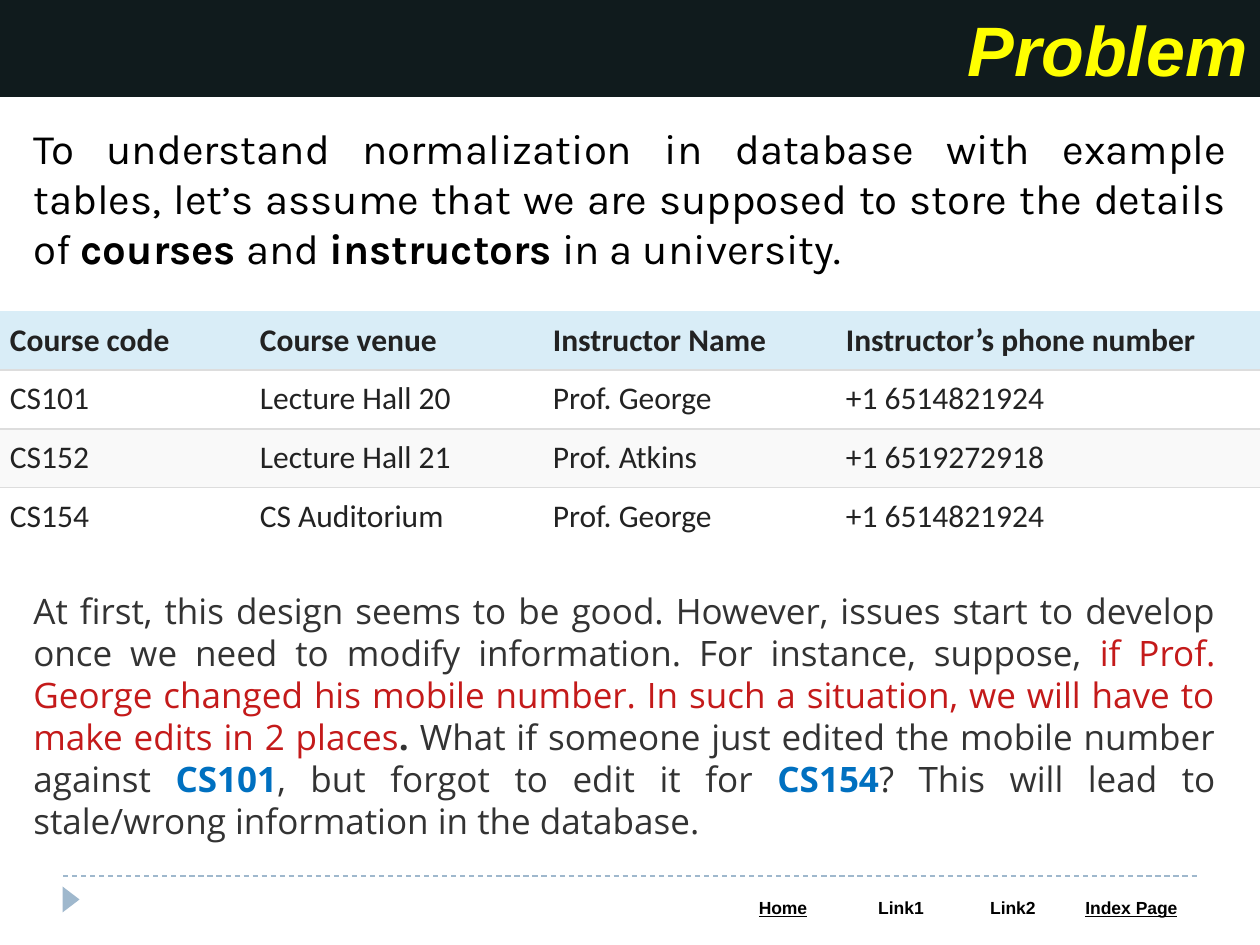
from dataclasses import dataclass, field

import pptx
import pptx.dml.color
import pptx.enum.dml
import pptx.enum.shapes
import pptx.enum.text
import pptx.oxml.ns
import pptx.util
from lxml import etree

PX_PER_INCH = 126
ALIGN = pptx.enum.text.PP_ALIGN
ANCHOR = pptx.enum.text.MSO_ANCHOR


@dataclass(frozen=True)
class Theme:
    bar: str = "101B1D"
    title: str = "FFFF00"
    black: str = "000000"
    white: str = "FFFFFF"
    body: str = "333333"
    warning: str = "C41A1A"
    code: str = "0070C0"
    cell_text: str = "222222"
    header: str = "D9EDF7"
    stripe: str = "F9F9F9"
    rule: str = "DDDDDD"
    footer: str = "9FB8CD"
    title_size: int = 40
    intro_size: int = 24
    body_size: int = 20
    table_size: int = 18
    footer_size: int = 10


THEME = Theme()


@dataclass(frozen=True)
class Box:
    left: int
    top: int
    width: int
    height: int

    def emu(self) -> tuple:
        return tuple(px(n) for n in (self.left, self.top, self.width, self.height))


@dataclass(frozen=True)
class Span:
    text: str
    format: dict = field(default_factory=dict)


def px(length: int) -> pptx.util.Emu:
    return pptx.util.Emu(round(length * pptx.util.Inches(1) / PX_PER_INCH))


def rgb(color: str) -> pptx.dml.color.RGBColor:
    return pptx.dml.color.RGBColor.from_string(color)


def style(name: str, size: int, color: str, **extra) -> dict:
    return {"name": name, "size": pptx.util.Pt(size), "color": color, **extra}


def fill(target, color: str) -> None:
    target.fill.solid()
    target.fill.fore_color.rgb = rgb(color)


def write(frame, spans: list[Span], base: dict, align=ALIGN.LEFT) -> None:
    """Fill the first paragraph with spans, each overriding the base format."""
    para = frame.paragraphs[0]
    para.alignment = align
    for span in spans:
        run = para.add_run()
        run.text = span.text
        for key, value in {**base, **span.format}.items():
            if key == "color":
                run.font.color.rgb = rgb(value)
            else:
                setattr(run.font, key, value)


def add_title(page, box: Box, text: str) -> None:
    title = page.shapes.title
    title.left, title.top, title.width, title.height = box.emu()
    fill(title, THEME.bar)
    frame = title.text_frame
    frame.auto_size = pptx.enum.text.MSO_AUTO_SIZE.NONE
    frame.vertical_anchor = ANCHOR.MIDDLE
    base = style("Arial", THEME.title_size, THEME.title, bold=True, italic=True)
    write(frame, [Span(text)], base, ALIGN.RIGHT)


def add_text(page, box: Box, spans: list[Span], base: dict) -> None:
    frame = page.shapes.add_textbox(*box.emu()).text_frame
    frame.word_wrap = True
    write(frame, spans, base, ALIGN.JUSTIFY)


def set_borders(cell, **colors: str) -> None:
    """Colour the named sides (L, R, T, B) and clear the others; call before filling."""
    properties = cell._tc.get_or_add_tcPr()
    for side in "LRTB":
        line = etree.SubElement(properties, pptx.oxml.ns.qn(f"a:ln{side}"), w="9525")
        if side in colors:
            solid = etree.SubElement(line, pptx.oxml.ns.qn("a:solidFill"))
            etree.SubElement(solid, pptx.oxml.ns.qn("a:srgbClr"), val=colors[side])
        else:
            etree.SubElement(line, pptx.oxml.ns.qn("a:noFill"))


def add_grid(page, left: int, top: int, widths: list[int], row_height: int, row_count: int):
    box = Box(left, top, sum(widths), row_height * row_count)
    table = page.shapes.add_table(row_count, len(widths), *box.emu()).table
    for column, width in zip(table.columns, widths):
        column.width = px(width)
    return table


def add_course_table(page, rows: list[list[str]]) -> None:
    table = add_grid(page, 0, 311, [250, 293, 293, 424], 59, len(rows))
    fills = [THEME.header, THEME.white, THEME.stripe, THEME.white]
    margins = dict.fromkeys(
        ("margin_left", "margin_right", "margin_top", "margin_bottom"), px(10))
    for i, row in enumerate(rows):
        borders = {}
        if i > 0:
            borders["T"] = THEME.rule
        if i < len(rows) - 1:
            borders["B"] = THEME.rule
        base = style("Calibri", THEME.table_size, THEME.cell_text, bold=i == 0)
        anchor = ANCHOR.MIDDLE if i == 0 else ANCHOR.TOP
        for j, text in enumerate(row):
            cell = table.cell(i, j)
            set_borders(cell, **borders)
            fill(cell, fills[i])
            for key, value in {**margins, "vertical_anchor": anchor}.items():
                setattr(cell, key, value)
            write(cell.text_frame, [Span(text)], base)


def add_footer(page, links: list[Span]) -> None:
    marker = page.shapes.add_shape(
        pptx.enum.shapes.MSO_SHAPE.ISOSCELES_TRIANGLE, *Box(58, 891, 26, 17).emu())
    marker.rotation = 90
    marker.shadow.inherit = False
    fill(marker, THEME.footer)
    marker.line.fill.background()

    rule = page.shapes.add_connector(
        pptx.enum.shapes.MSO_CONNECTOR.STRAIGHT, px(63), px(876), px(1197), px(876))
    rule.line.color.rgb = rgb(THEME.footer)
    rule.line.width = pptx.util.Pt(0.75)
    rule.line.dash_style = pptx.enum.dml.MSO_LINE.DASH
    etree.SubElement(rule._element.spPr, pptx.oxml.ns.qn("a:effectLst"))

    table = add_grid(page, 724, 892, [118, 118, 106, 131], 34, 1)
    base = style("Arial", THEME.footer_size, THEME.black, bold=True)
    for cell, link in zip(table.rows[0].cells, links):
        set_borders(cell)
        fill(cell, THEME.white)
        write(cell.text_frame, [link], base, ALIGN.CENTER)


def main() -> None:
    deck = pptx.Presentation()
    deck.slide_width, deck.slide_height = px(1260), px(945)
    page = deck.slides.add_slide(deck.slide_layouts.get_by_name("Title Only"))
    bold = {"bold": True}
    underlined = {"underline": True}
    code = {"color": THEME.code, "bold": True}

    add_footer(page, [Span("Home", underlined), Span("Link1"), Span("Link2"),
                      Span("Index Page", underlined)])
    add_title(page, Box(0, 0, 1260, 97), "Problem")
    add_text(page, Box(21, 116, 1218, 165), [
        Span("To understand normalization in database with example tables, let’s assume "
             "that we are supposed to store the details of "),
        Span("courses", bold), Span(" and "), Span("instructors", bold),
        Span(" in a university."),
    ], style("Karla", THEME.intro_size, THEME.black))
    add_course_table(page, [
        ["Course code", "Course venue", "Instructor Name", "Instructor’s phone number"],
        ["CS101", "Lecture Hall 20", "Prof. George", "+1 6514821924"],
        ["CS152", "Lecture Hall 21", "Prof. Atkins", "+1 6519272918"],
        ["CS154", "CS Auditorium", "Prof. George", "+1 6514821924"],
    ])
    add_text(page, Box(21, 583, 1207, 267), [
        Span("At first, this design seems to be good. However, issues start to develop once "
             "we need to modify information. For instance, suppose, "),
        Span("if Prof. George changed his mobile number. In such a situation, we will have "
             "to make edits in 2 places", {"color": THEME.warning}),
        Span(". ", bold),
        Span("What if someone just edited the mobile number against "),
        Span("CS101", code), Span(", but forgot to edit it for "), Span("CS154", code),
        Span("? This will lead to stale/wrong information in the database."),
    ], style("Open Sans", THEME.body_size, THEME.body))
    deck.save("out.pptx")


if __name__ == "__main__":
    main()
